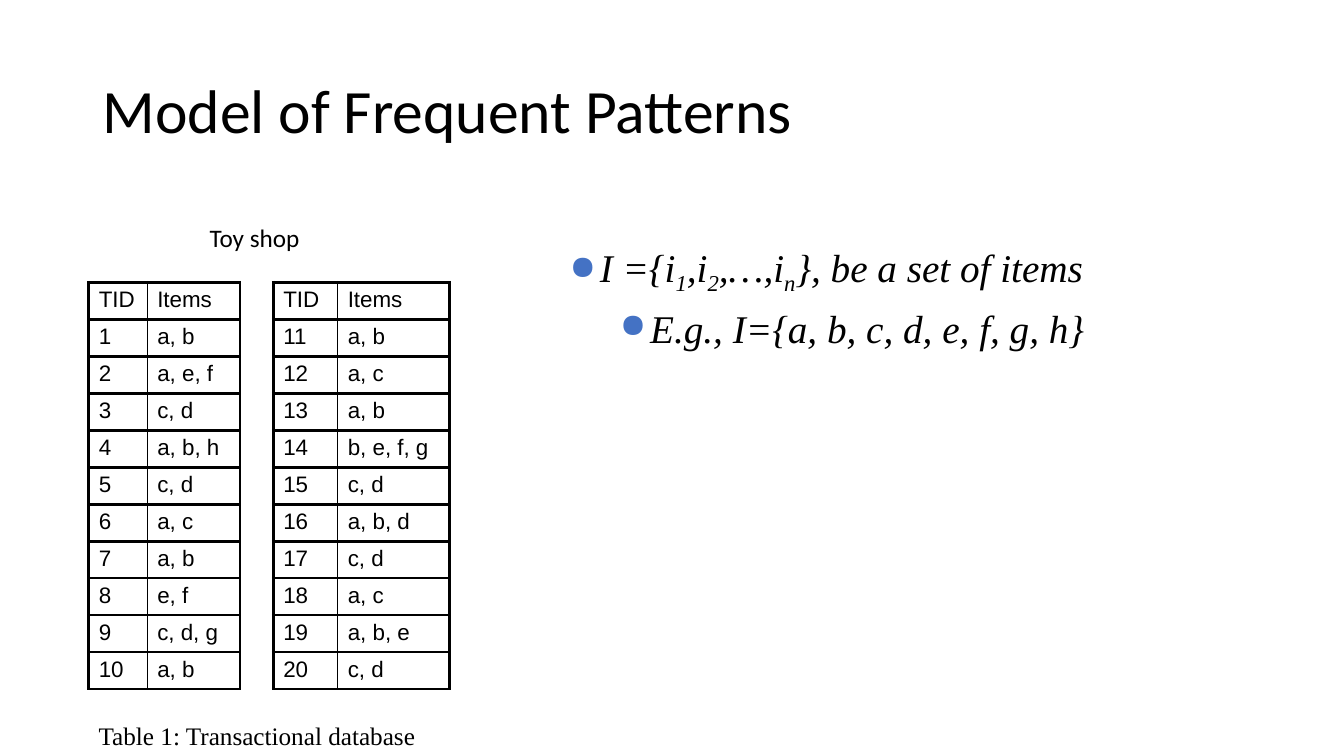
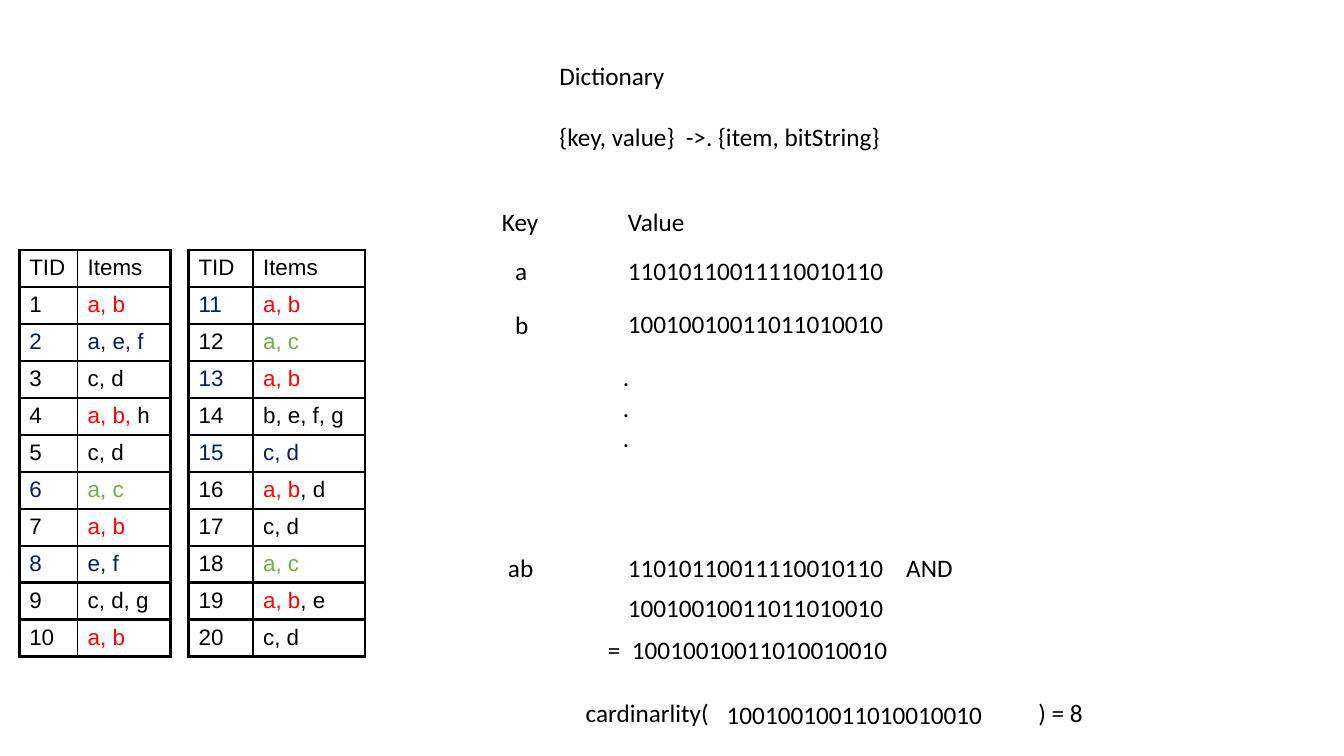
import dataclasses

import pptx
import pptx.dml.color
import pptx.enum.text
import pptx.oxml
import pptx.oxml.ns
import pptx.util

PX = 9144  # EMU in one px, 100 px to the inch
RGB = pptx.dml.color.RGBColor.from_string


@dataclasses.dataclass(frozen=True)
class Theme:
    ink: str = "000000"
    paper: str = "FFFFFF"
    bullet: str = "4472C4"
    red: str = "FF0000"
    green: str = "70AD47"
    navy: str = "002060"
    sans: str = "Calibri"
    serif: str = "Times New Roman"
    grid: str = "Arial"
    title_size: int = 44
    bullet_size: int = 28
    body_size: int = 18
    cell_size: int = 16
    thick: float = 2.25
    thin: float = 1


THEME = Theme()

TITLE = {"name": THEME.sans, "size": THEME.title_size}
LABEL = {"name": THEME.sans, "size": THEME.body_size}
CAPTION = {"name": THEME.serif, "size": THEME.body_size}
FORMULA = {"name": THEME.serif, "size": THEME.bullet_size, "italic": True}
CELL = {"name": THEME.grid, "size": THEME.cell_size}

TRANSACTIONS = [
    "a, b", "a, e, f", "c, d", "a, b, h", "c, d", "a, c", "a, b", "e, f", "c, d, g", "a, b",
    "a, b", "a, c", "a, b", "b, e, f, g", "c, d", "a, b, d", "c, d", "a, c", "a, b, e", "c, d",
]
NAVY_TIDS = {2, 6, 8, 11, 13, 15}
NAVY_ITEMS = {2, 8, 15}
RED_PREFIXES = {4: "a, b, "}

BITS_A = "11010110011110010110"
BITS_B = "10010010011011010010"
BITS_AB = "10010010011010010010"


def px(length):
    return pptx.util.Emu(length * PX)


def apply_format(target, values):
    for attribute, value in values.items():
        setattr(target, attribute, value)


def add_run(paragraph, text, style, color=THEME.ink, subscript=False):
    run = paragraph.add_run()
    run.text = text
    apply_format(run.font, {**style, "size": pptx.util.Pt(style["size"])})
    run.font.color.rgb = RGB(color)
    if subscript:
        run._r.get_or_add_rPr().set("baseline", "-25000")


def add_text(slide, box, paragraphs, style, wrap=True, **frame_format):
    """Add a text box; a paragraph is a string or a list of (text, run options)."""
    frame = slide.shapes.add_textbox(*map(px, box)).text_frame
    apply_format(frame, {"word_wrap": wrap, **frame_format})
    for index, content in enumerate(paragraphs):
        paragraph = frame.paragraphs[0] if index == 0 else frame.add_paragraph()
        runs = [(content, {})] if isinstance(content, str) else content
        for text, options in runs:
            add_run(paragraph, text, style, **options)
    return frame


def add_label(slide, left, top, width, *lines):
    height = 10 + 30 * len(lines)
    return add_text(slide, (left, top, width, height), lines, LABEL, wrap=False,
                    auto_size=pptx.enum.text.MSO_AUTO_SIZE.SHAPE_TO_FIT_TEXT)


def add_bullet(paragraph, indent, hanging):
    properties = paragraph._p.get_or_add_pPr()
    properties.set("marL", str(px(indent)))
    properties.set("indent", str(-px(hanging)))
    namespace = pptx.oxml.ns.nsdecls("a")
    for xml in (
        f'<a:buClr {namespace}><a:srgbClr val="{THEME.bullet}"/></a:buClr>',
        f'<a:buSzPct {namespace} val="85000"/>',
        f'<a:buChar {namespace} char="●"/>',
    ):
        properties.append(pptx.oxml.parse_xml(xml))


def set_borders(cell, **widths):
    properties = cell._tc.get_or_add_tcPr()
    for side in "LRTB":
        width = pptx.util.Pt(widths.get(side, THEME.thick))
        properties.append(pptx.oxml.parse_xml(
            f'<a:ln{side} {pptx.oxml.ns.nsdecls("a")} w="{width}"><a:solidFill>'
            f'<a:srgbClr val="{THEME.ink}"/></a:solidFill></a:ln{side}>'))


def plain_runs(tid, items):
    return [(str(tid), {})], [(items, {})]


def marked_runs(tid, items):
    """Colour the pairs ab and ac, and the navy transactions."""
    tid_color = THEME.navy if tid in NAVY_TIDS else THEME.ink
    if items.startswith("a, b"):
        prefix = RED_PREFIXES.get(tid, "a, b")
        item_runs = [(prefix, {"color": THEME.red})]
        if items != prefix:
            item_runs.append((items[len(prefix):], {}))
    elif items == "a, c":
        item_runs = [(items, {"color": THEME.green})]
    else:
        item_runs = [(items, {"color": THEME.navy if tid in NAVY_ITEMS else THEME.ink})]
    return [(str(tid), {"color": tid_color})], item_runs


def add_transactions(slide, left, top, column_widths, first_tid, to_runs):
    tids = range(first_tid, first_tid + 10)
    rows = [plain_runs("TID", "Items")]
    rows += [to_runs(tid, TRANSACTIONS[tid - 1]) for tid in tids]
    table = slide.shapes.add_table(
        len(rows), 2, px(left), px(top), px(sum(column_widths)), px(404)).table
    apply_format(table, {"first_row": False, "horz_banding": False})
    for column, width in zip(table.columns, column_widths):
        column.width = px(width)
    for row_index, row in enumerate(rows):
        table.rows[row_index].height = px(404) // len(rows)
        for column_index, runs in enumerate(row):
            cell = table.cell(row_index, column_index)
            set_borders(cell, **{"RL"[column_index]: THEME.thin})
            cell.fill.solid()
            cell.fill.fore_color.rgb = RGB(THEME.paper)
            for text, options in runs:
                add_run(cell.text_frame.paragraphs[0], text, CELL, **options)


def add_database(slide, lefts, top, to_runs):
    """Add the two halves of the transactional database side by side."""
    for left, widths, first_tid in zip(lefts, ((58, 92), (64, 111)), (1, 11)):
        add_transactions(slide, left, top, widths, first_tid, to_runs)


def build_model(slide):
    title = add_text(slide, (92, 40, 1150, 145), ["Model of Frequent Patterns"], TITLE,
                     vertical_anchor=pptx.enum.text.MSO_ANCHOR.MIDDLE)
    title.paragraphs[0].line_spacing = 0.9
    add_database(slide, (88, 271), 280, plain_runs)
    add_text(slide, (88, 710, 376, 40), ["Table 1: Transactional database"], CAPTION)

    low = {"subscript": True}
    item_set = [("I ={i", {}), ("1", low), (",i", {}), ("2", low),
                (",…,i", {}), ("n", low), ("}, be a set of items", {})]
    definition = add_text(slide, (555, 236, 778, 514),
                          [item_set, "E.g., I={a, b, c, d, e, f, g, h}"], FORMULA)
    for level, paragraph in enumerate(definition.paragraphs):
        paragraph.level = level
        add_bullet(paragraph, 30 + 50 * level, 30)
    definition.paragraphs[1].space_before = pptx.util.Pt(5.8)
    add_label(slide, 198, 216, 110, "Toy shop")


def build_dictionary(slide):
    add_database(slide, (19, 187), 248, marked_runs)
    heading = add_label(slide, 545, 55, 341, "Dictionary", "{key, value}  ->. {item, bitString}")
    heading.paragraphs[1].space_before = pptx.util.Pt(22)
    for left, top, width, text in (
        (488, 200, 57, "Key"),
        (613, 200, 77, "Value"),
        (501, 248, 32, "a"),
        (613, 248, 276, BITS_A),
        (501, 302, 34, "b"),
        (613, 301, 276, BITS_B),
        (494, 543, 46, "ab"),
        (613, 543, 276, BITS_A),
        (889, 543, 67, "AND"),
        (613, 583, 276, BITS_B),
        (593, 624, 32, "="),
        (617, 624, 276, BITS_AB),
        (571, 687, 142, "cardinarlity("),
        (711, 689, 276, BITS_AB),
        (1020, 687, 64, ") = 8"),
    ):
        add_label(slide, left, top, width, text)
    add_label(slide, 608, 354, 27, ".", ".", ".")


def main():
    deck = pptx.Presentation()
    apply_format(deck, {"slide_width": px(1333), "slide_height": px(750)})
    for build in (build_model, build_dictionary):
        build(deck.slides.add_slide(deck.slide_layouts[6]))
    deck.save("out.pptx")


if __name__ == "__main__":
    main()
